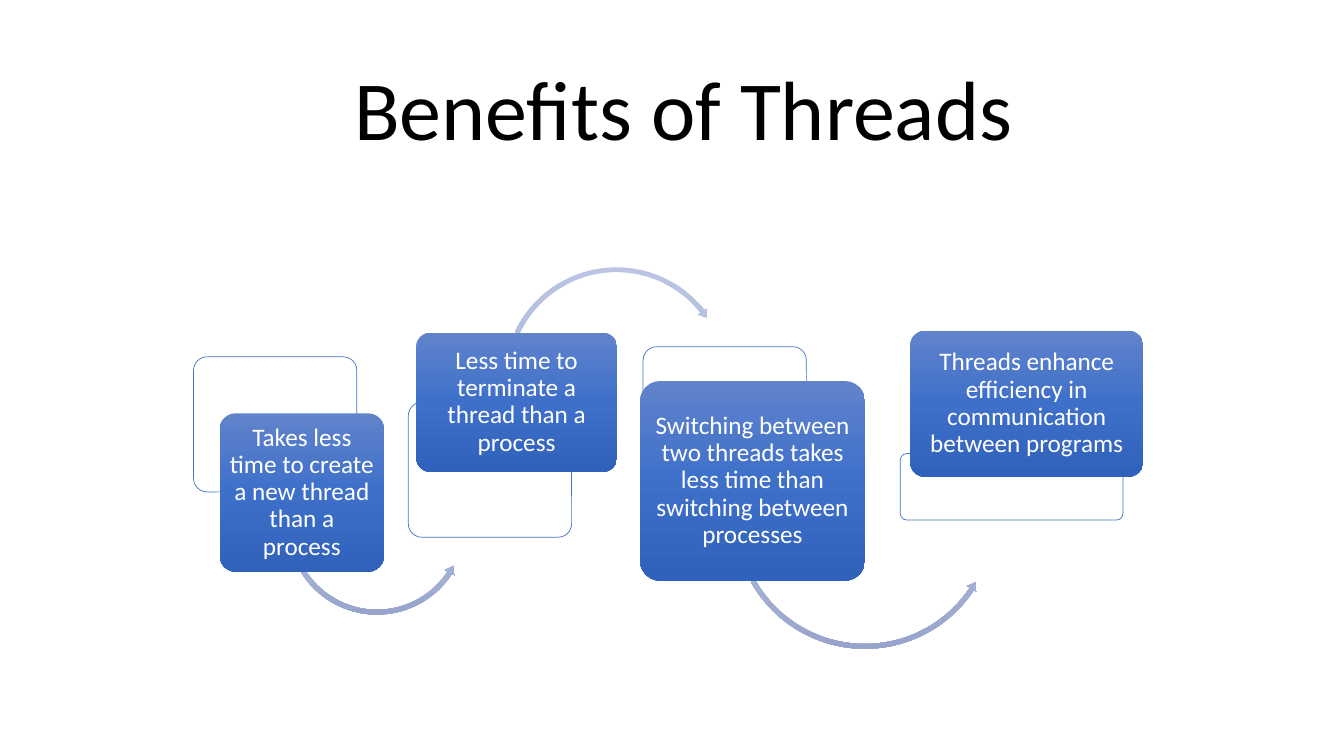
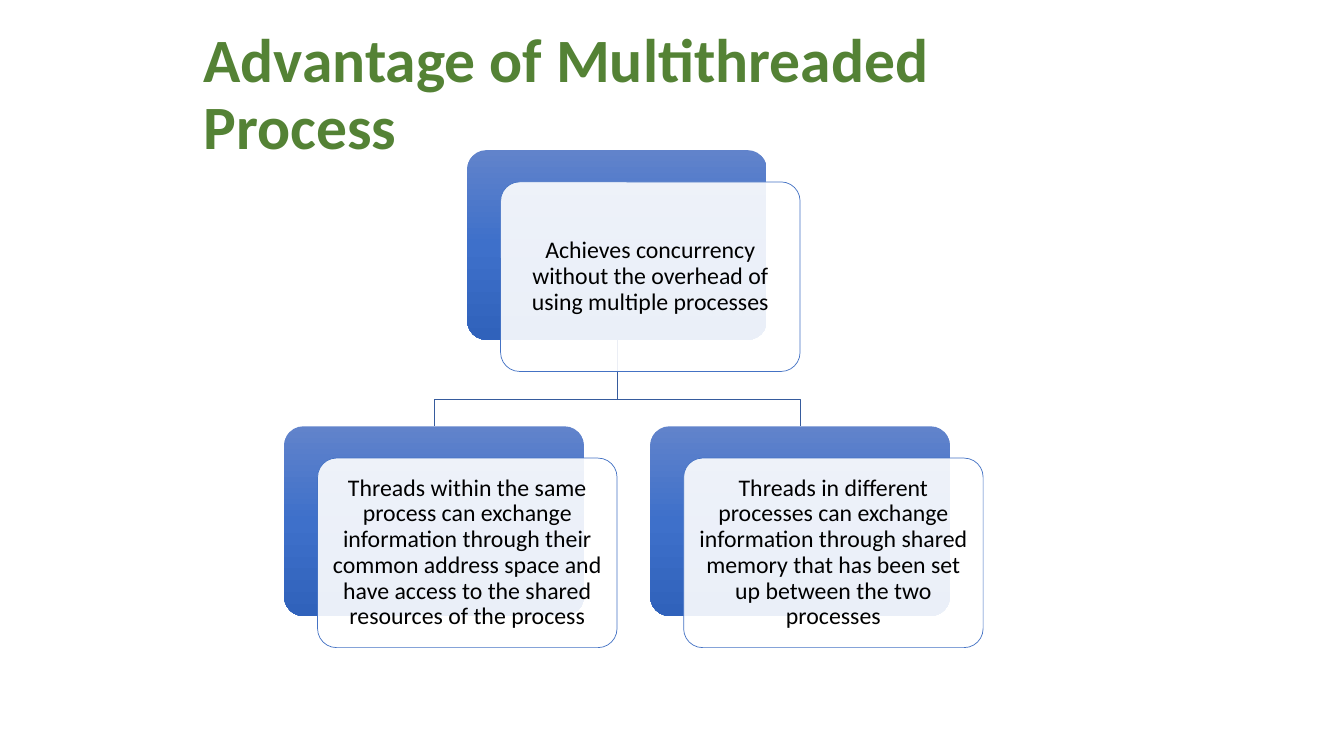
"""Two slides on threads: a chain of benefits and a tree of advantages."""
from copy import deepcopy
from dataclasses import dataclass

from lxml.etree import SubElement
from pptx import Presentation
from pptx.dml.color import RGBColor
from pptx.enum.shapes import MSO_SHAPE
from pptx.enum.text import MSO_ANCHOR, MSO_AUTO_SIZE, PP_ALIGN
from pptx.oxml.ns import qn
from pptx.util import Inches, Pt


@dataclass(frozen=True)
class Theme:
    font: str = "Calibri"
    black: str = "000000"
    white: str = "FFFFFF"
    green: str = "548235"
    outline: str = "4472C4"
    branch: str = "365B9D"
    box_shades: tuple = ("6183CB", "3E70CA", "3062BB")
    arrow_shades: tuple = ("BBC5E3", "AEBBE0", "98A4CB")
    panel_opacity: int = 90
    corner: float = 0.1
    hairline: float = 0.5
    large_title: int = 60
    title: int = 44
    step: int = 18
    node: int = 17


THEME = Theme()


def write_text(shape, text, size, color, bold=False, align=PP_ALIGN.CENTER, margins=(0.1, 0.05)):
    """Fill a shape with one formatted paragraph, centred vertically."""
    frame = shape.text_frame
    frame.word_wrap = True
    frame.auto_size = MSO_AUTO_SIZE.NONE
    frame.vertical_anchor = MSO_ANCHOR.MIDDLE
    frame.margin_left = frame.margin_right = Inches(margins[0])
    frame.margin_top = frame.margin_bottom = Inches(margins[1])
    para = frame.paragraphs[0]
    para.alignment = align
    para.line_spacing = 0.9
    span = para.add_run()
    span.text = text
    span.font.name = THEME.font
    span.font.size = Pt(size)
    span.font.bold = bold
    span.font.color.rgb = RGBColor.from_string(color)


def paint(shape, shades=None):
    """Give a shape a vertical gradient, or a translucent outlined fill."""
    shape.shadow.inherit = False
    fill = shape.fill
    if shades:
        fill.gradient()
        fill.gradient_angle = 270
        stop_list = shape._element.spPr.find(".//" + qn("a:gsLst"))
        stop_list.insert(1, deepcopy(stop_list[0]))
        for stop, position, shade in zip(fill.gradient_stops, (0, 0.5, 1), shades):
            stop.position = position
            stop.color.rgb = RGBColor.from_string(shade)
        shape.line.fill.background()
    else:
        fill.solid()
        fill.fore_color.rgb = RGBColor.from_string(THEME.white)
        color = shape._element.spPr.find(qn("a:solidFill"))[0]
        SubElement(color, qn("a:alpha"), val=str(THEME.panel_opacity * 1000))
        shape.line.color.rgb = RGBColor.from_string(THEME.outline)
        shape.line.width = Pt(THEME.hairline)


deck = Presentation()
deck.slide_width = Inches(40 / 3)
deck.slide_height = Inches(7.5)
COLUMN = deck.slide_width / 100
ROW = deck.slide_height / 100
UNITS = (COLUMN, ROW, COLUMN, ROW)

titles = [
    ("Benefits of Threads", (18.75, 7.73, 64.2, 14.53),
     dict(size=THEME.large_title, color=THEME.black)),
    ("Advantage of Multithreaded Process", (14.4, 4.4, 69.08, 16.67),
     dict(size=THEME.title, color=THEME.green, bold=True, align=PP_ALIGN.LEFT)),
]
pages = []
for text, area, style in titles:
    page = deck.slides.add_slide(deck.slide_layouts[5])
    title = page.shapes.title
    title.left, title.top, title.width, title.height = (
        round(share * unit) for share, unit in zip(area, UNITS))
    write_text(title, text, **style)
    pages.append(page)
benefits, advantages = pages

UNDER, OVER = MSO_SHAPE.LEFT_CIRCULAR_ARROW, MSO_SHAPE.CIRCULAR_ARROW
BAND, HEAD = Pt(3.45), Pt(4.1)
steps = [
    ("Takes less time to create a new thread than a process",
     (14.4, 47.2, 12.15, 17.87), (16.35, 54.67, 12.23, 20.93),
     (UNDER, 21.15, 57.2, 13.8, (5.33, 33.17, 148.65))),
    ("Less time to terminate a thread than a process",
     (30.38, 53.2, 12.15, 17.87), (30.98, 44, 14.93, 18.4),
     (OVER, 37.28, 34.93, 17.18, (4.22, 321.67, 205.07))),
    ("Switching between two threads takes less time than switching between processes",
     (47.85, 45.87, 12.15, 17.87), (47.63, 50.4, 16.73, 26.4),
     (UNDER, 54.38, 50.8, 19.95, (3.62, 33.53, 150.73))),
    ("Threads enhance efficiency in communication between programs",
     (66.98, 60, 16.58, 8.8), (67.73, 43.73, 17.33, 19.33), None),
]
for text, panel_area, box_area, curve in steps:
    panel = benefits.shapes.add_shape(
        MSO_SHAPE.ROUNDED_RECTANGLE,
        *(round(share * unit) for share, unit in zip(panel_area, UNITS)))
    panel.adjustments[0] = THEME.corner
    paint(panel)
    if curve:
        kind, left, top, width, angles = curve
        side = round(width * COLUMN)
        arrow = benefits.shapes.add_shape(
            kind, round(left * COLUMN), round(top * ROW), side, side)
        settings = (BAND / side, *(angle * 0.6 for angle in angles), HEAD / side)
        for index, setting in enumerate(settings):
            arrow.adjustments[index] = setting
        paint(arrow, THEME.arrow_shades)
    box = benefits.shapes.add_shape(
        MSO_SHAPE.ROUNDED_RECTANGLE,
        *(round(share * unit) for share, unit in zip(box_area, UNITS)))
    box.adjustments[0] = THEME.corner
    paint(box, THEME.box_shades)
    write_text(box, text, THEME.step, THEME.white, margins=(0.04, 0.03))

CARD_WIDTH, CARD_HEIGHT = 22.28, 25.07
SHIFT_X, SHIFT_Y = 2.48, 4.2
PITCH = CARD_WIDTH + 2 * SHIFT_X
TREE_LEFT, ROOT_TOP, CHILD_TOP = 21.15, 19.87, 56.4
BEND = CHILD_TOP - 3.6
root_left = TREE_LEFT + PITCH / 2
root_middle = root_left + CARD_WIDTH / 2

for side in (1, -1):
    child_middle = root_middle + side * PITCH / 2
    route = [(round(x * COLUMN), round(y * ROW)) for x, y in (
        (root_middle, ROOT_TOP + CARD_HEIGHT), (root_middle, BEND),
        (child_middle, BEND), (child_middle, CHILD_TOP))]
    builder = advantages.shapes.build_freeform(*route[0])
    builder.add_line_segments(route[1:], close=False)
    branch = builder.convert_to_shape()
    branch.shadow.inherit = False
    branch.fill.background()
    branch.line.color.rgb = RGBColor.from_string(THEME.branch)
    branch.line.width = Pt(THEME.hairline)

nodes = [
    (root_left, ROOT_TOP,
     "Achieves concurrency without the overhead of using multiple processes"),
    (TREE_LEFT, CHILD_TOP,
     "Threads within the same process can exchange information through their common "
     "address space and have access to the shared resources of the process"),
    (TREE_LEFT + PITCH, CHILD_TOP,
     "Threads in different processes can exchange information through shared memory "
     "that has been set up between the two processes"),
]
for left, top, text in nodes:
    for shift, shades in ((0, THEME.box_shades), (1, None)):
        area = (left + shift * SHIFT_X, top + shift * SHIFT_Y, CARD_WIDTH, CARD_HEIGHT)
        card = advantages.shapes.add_shape(
            MSO_SHAPE.ROUNDED_RECTANGLE,
            *(round(share * unit) for share, unit in zip(area, UNITS)))
        card.adjustments[0] = THEME.corner
        paint(card, shades)
    write_text(card, text, THEME.node, THEME.black, margins=(0.07, 0.07))

deck.save("out.pptx")
